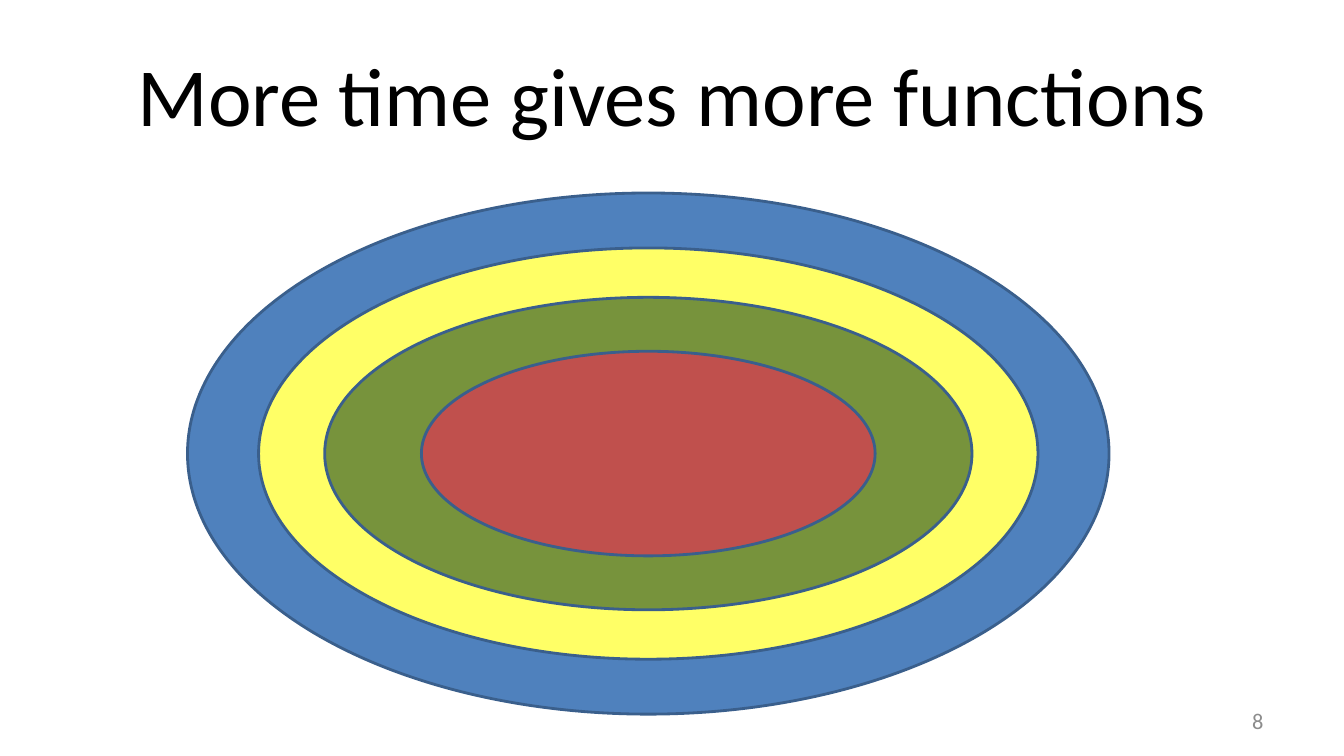
from dataclasses import dataclass

from pptx import Presentation
from pptx.dml.color import RGBColor
from pptx.enum.shapes import MSO_SHAPE
from pptx.enum.text import MSO_ANCHOR, PP_ALIGN
from pptx.slide import Slide
from pptx.util import Inches, Pt


@dataclass(frozen=True)
class Theme:
    font: str = "Calibri"
    title_size: float = 59
    number_size: float = 16
    outline_width: float = 2
    title: str = "000000"
    number: str = "8C8C8C"
    outline: str = "3A5F8C"
    blue: str = "4F81BD"
    yellow: str = "FFFF66"
    green: str = "77933C"
    red: str = "C0504D"


@dataclass(frozen=True)
class FunctionClass:
    width: float
    height: float
    color: str


@dataclass(frozen=True)
class Label:
    text: str
    left: float
    top: float
    width: float
    height: float
    size: float
    color: str
    align: PP_ALIGN


THEME = Theme()
CENTER_X, CENTER_Y = 6.43, 4.5

FUNCTION_CLASSES = [
    FunctionClass(9.14, 5.17, THEME.blue),
    FunctionClass(7.73, 4.08, THEME.yellow),
    FunctionClass(6.42, 3.1, THEME.green),
    FunctionClass(4.5, 2.03, THEME.red),
]

LABELS = [
    Label("More time gives more functions", 0.67, 0.3, 12, 1.25,
          THEME.title_size, THEME.title, PP_ALIGN.CENTER),
    Label("8", 9.55, 6.95, 3.11, 0.4,
          THEME.number_size, THEME.number, PP_ALIGN.RIGHT),
]


def add_label(slide: Slide, label: Label) -> None:
    box = slide.shapes.add_textbox(Inches(label.left), Inches(label.top),
                                   Inches(label.width), Inches(label.height))
    frame = box.text_frame
    frame.word_wrap = True
    frame.vertical_anchor = MSO_ANCHOR.MIDDLE
    frame.margin_left = frame.margin_right = Inches(0.13)
    frame.margin_top = frame.margin_bottom = Inches(0.07)
    paragraph = frame.paragraphs[0]
    paragraph.text = label.text
    paragraph.alignment = label.align
    paragraph.font.name = THEME.font
    paragraph.font.size = Pt(label.size)
    paragraph.font.color.rgb = RGBColor.from_string(label.color)


def add_function_class(slide: Slide, item: FunctionClass) -> None:
    """Draw one class as an ellipse around the shared center."""
    ellipse = slide.shapes.add_shape(
        MSO_SHAPE.OVAL,
        Inches(CENTER_X - item.width / 2), Inches(CENTER_Y - item.height / 2),
        Inches(item.width), Inches(item.height))
    ellipse.shadow.inherit = False
    ellipse.fill.solid()
    ellipse.fill.fore_color.rgb = RGBColor.from_string(item.color)
    ellipse.line.color.rgb = RGBColor.from_string(THEME.outline)
    ellipse.line.width = Pt(THEME.outline_width)


def main() -> None:
    deck = Presentation()
    deck.slide_width, deck.slide_height = Inches(13.33), Inches(7.5)
    slide = deck.slides.add_slide(deck.slide_layouts[6])
    for label in LABELS:
        add_label(slide, label)
    for item in FUNCTION_CLASSES:
        add_function_class(slide, item)
    deck.save("out.pptx")


if __name__ == "__main__":
    main()
